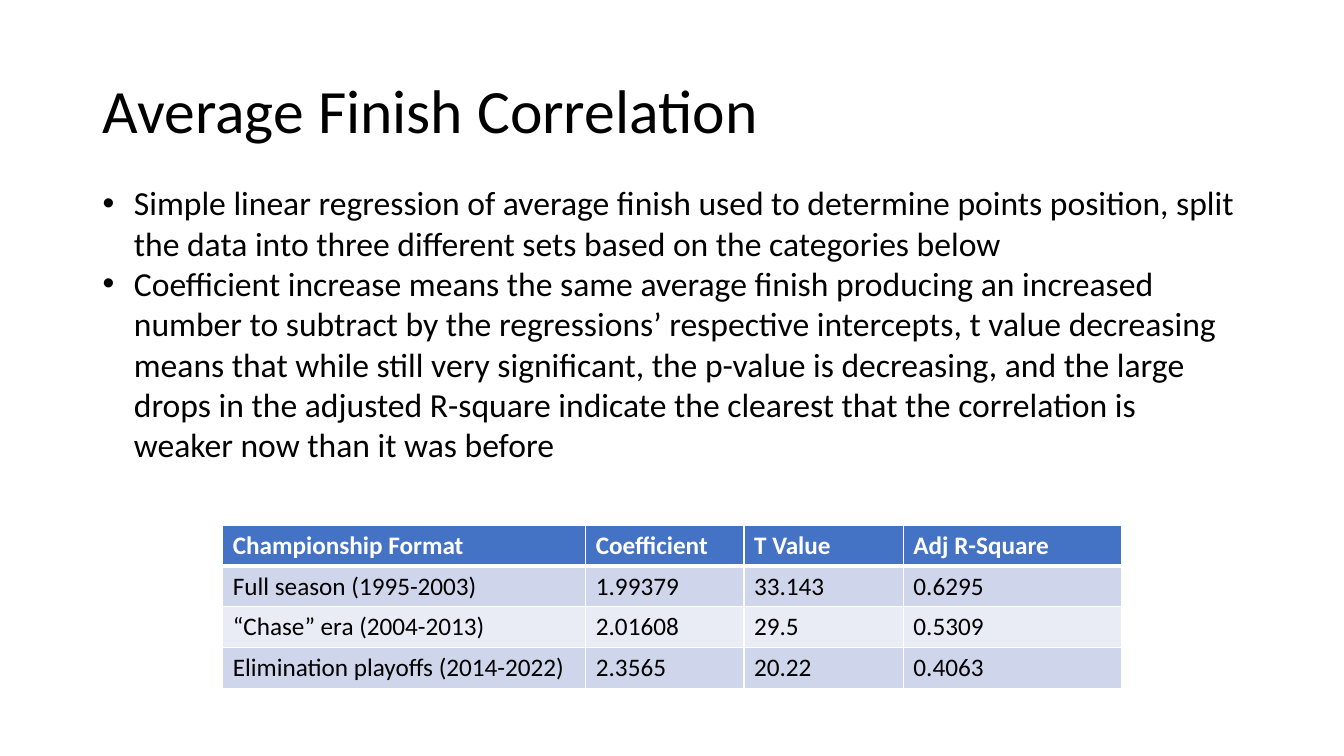
from lxml.etree import SubElement
from pptx import Presentation
from pptx.dml.color import RGBColor
from pptx.enum.text import MSO_ANCHOR, MSO_AUTO_SIZE, PP_ALIGN
from pptx.oxml.ns import qn
from pptx.util import Inches, Pt

TITLE = "Average Finish Correlation"
POINTS = [
    "Simple linear regression of average finish used to determine points position, "
    "split the data into three different sets based on the categories below",
    "Coefficient increase means the same average finish producing an increased number "
    "to subtract by the regressions’ respective intercepts, t value decreasing means "
    "that while still very significant, the p-value is decreasing, and the large drops "
    "in the adjusted R-square indicate the clearest that the correlation is weaker now "
    "than it was before",
]
ROWS = [
    ("Championship Format", "Coefficient", "T Value", "Adj R-Square"),
    ("Full season (1995-2003)", "1.99379", "33.143", "0.6295"),
    ("“Chase” era (2004-2013)", "2.01608", "29.5", "0.5309"),
    ("Elimination playoffs (2014-2022)", "2.3565", "20.22", "0.4063"),
]
WIDTHS = [3.6, 1.57, 1.58, 2.16]
HIGH = 0.405
COLORS = {"text": "000000", "white": "FFFFFF", "head": "4472C4",
          "odd": "CFD5EA", "even": "E9EBF5"}
FONT = "Calibri"


def style(para, size, color="text", bold=False):
    for run in para.runs:
        run.font.name = FONT
        run.font.size = Pt(size)
        run.font.bold = bold
        run.font.color.rgb = RGBColor.from_string(COLORS[color])


def place(shape, left, top, width, height):
    shape.left, shape.top = Inches(left), Inches(top)
    shape.width, shape.height = Inches(width), Inches(height)


def add_title(slide):
    title = slide.shapes.title
    place(title, 0.92, 0.4, 11.5, 1.45)
    frame = title.text_frame
    frame.text = TITLE
    frame.vertical_anchor = MSO_ANCHOR.MIDDLE
    para = frame.paragraphs[0]
    para.alignment = PP_ALIGN.LEFT
    para.line_spacing = 0.9
    style(para, 44)


def add_points(slide):
    box = slide.shapes.add_textbox(Inches(0.92), Inches(1.76), Inches(11.5), Inches(2.93))
    frame = box.text_frame
    frame.word_wrap = True
    frame.auto_size = MSO_AUTO_SIZE.SHAPE_TO_FIT_TEXT
    frame.text = "\n".join(POINTS)
    for para in frame.paragraphs:
        style(para, 24)
        props = para._p.get_or_add_pPr()
        props.set("marL", str(Inches(0.31)))
        props.set("indent", str(Inches(-0.31)))
        SubElement(props, qn("a:buFont"), typeface="Arial")
        SubElement(props, qn("a:buChar"), char="•")


def add_edges(cell, base):
    props = cell._tc.get_or_add_tcPr()
    for side, width in (("L", 1), ("R", 1), ("T", 1), ("B", base)):
        line = SubElement(props, qn("a:ln" + side), w=str(Pt(width)))
        fill = SubElement(line, qn("a:solidFill"))
        SubElement(fill, qn("a:srgbClr"), val=COLORS["white"])


def add_grid(slide):
    table = slide.shapes.add_table(
        len(ROWS), len(WIDTHS), Inches(2.21), Inches(5.21),
        Inches(sum(WIDTHS)), Inches(HIGH * len(ROWS))).table
    for col, width in zip(table.columns, WIDTHS):
        col.width = Inches(width)
    for r, row in enumerate(ROWS):
        head = r == 0
        shade = "head" if head else "odd" if r % 2 else "even"
        for c, text in enumerate(row):
            cell = table.cell(r, c)
            cell.text_frame.text = text
            style(cell.text_frame.paragraphs[0], 18, "white" if head else "text", head)
            add_edges(cell, 3 if head else 1)
            cell.fill.solid()
            cell.fill.fore_color.rgb = RGBColor.from_string(COLORS[shade])


def main():
    deck = Presentation()
    deck.slide_width, deck.slide_height = Inches(13.33), Inches(7.5)
    slide = deck.slides.add_slide(deck.slide_layouts[5])
    add_title(slide)
    add_grid(slide)
    add_points(slide)
    deck.save("out.pptx")


if __name__ == "__main__":
    main()
